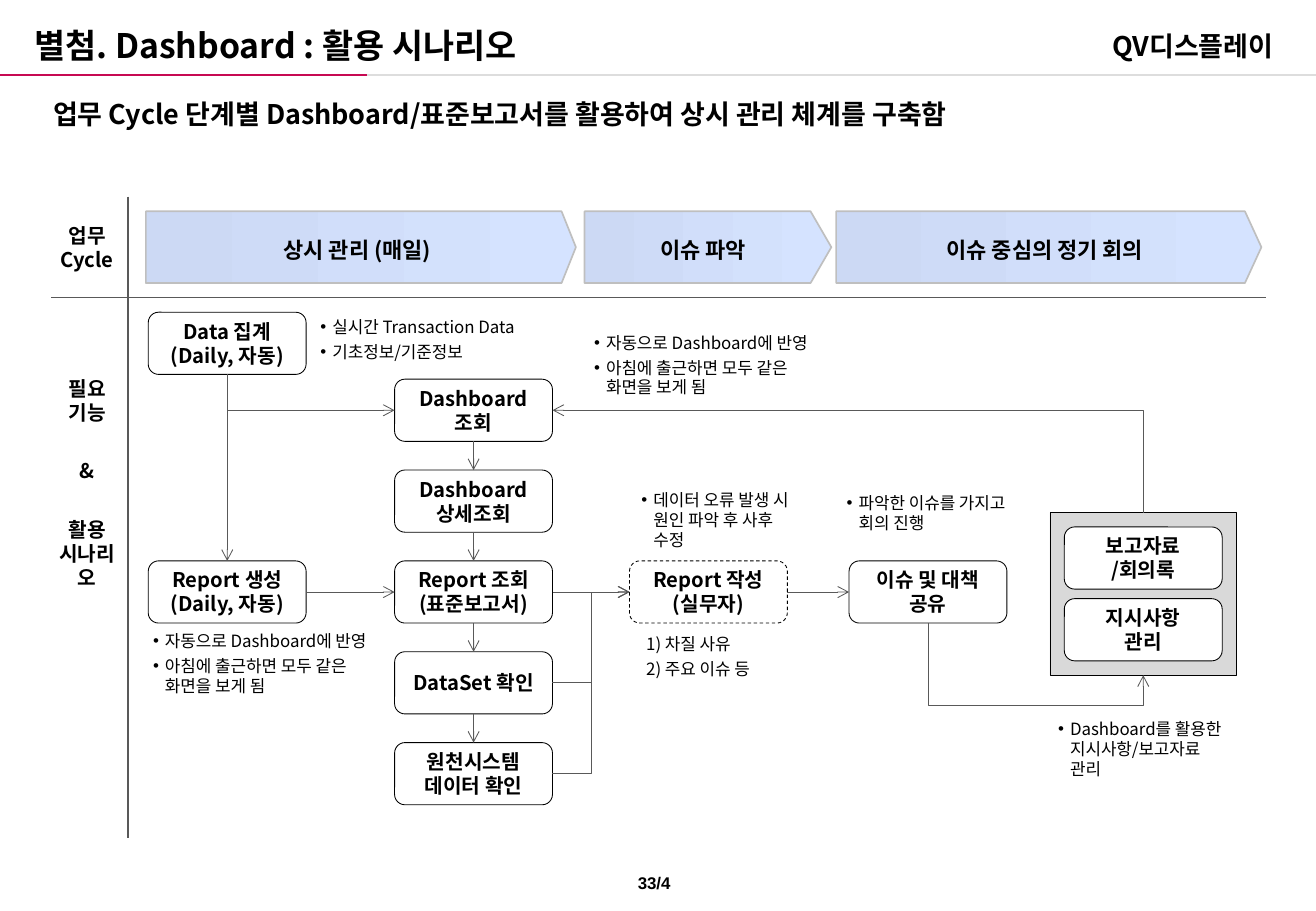
from dataclasses import dataclass

from lxml.etree import SubElement
from pptx import Presentation
from pptx.dml.color import RGBColor
from pptx.enum.dml import MSO_LINE
from pptx.enum.shapes import MSO_CONNECTOR, MSO_SHAPE
from pptx.enum.text import MSO_ANCHOR, MSO_AUTO_SIZE, PP_ALIGN
from pptx.oxml.ns import qn
from pptx.util import Cm, Pt


@dataclass(frozen=True)
class Theme:
    font: str = "Noto Sans CJK KR"
    number_font: str = "Arial"
    black: str = "000000"
    white: str = "FFFFFF"
    accent: str = "C70952"
    rule: str = "DDDDDD"
    line: str = "595959"
    panel: str = "D9D9D9"
    stage_line: str = "BFBFBF"
    stage_from: str = "CCD9F4"
    stage_to: str = "D5E3FF"
    title: float = 20
    heading: float = 16
    stage: float = 13
    box: float = 12
    note: float = 10
    leading: float = 1.18


@dataclass(frozen=True)
class Stage:
    text: str
    x: float
    w: float
    point: float


@dataclass(frozen=True)
class Box:
    name: str
    x: float
    y: float
    lines: tuple[str, ...]
    dashed: bool = False


@dataclass(frozen=True)
class Note:
    x: float
    y: float
    w: float
    h: float
    lines: tuple[str, ...]
    bullet: bool = True


@dataclass(frozen=True)
class Link:
    start: str
    start_side: int
    end: str
    end_side: int
    bend: str = ""
    adjust: float = 0.5


T = Theme()
TOP, LEFT, BOTTOM, RIGHT = range(4)
BOX_W, BOX_H = 3.3, 1.3
COL = (3.1, 8.25, 13.16, 17.75, 22.25)
ROW = tuple(7.93 + 1.9 * i for i in range(5))

STAGES = (
    Stage("상시 관리 (매일)", 3.05, 8.99, 0.2),
    Stage("이슈 파악", 12.22, 5.16, 0.29),
    Stage("이슈 중심의 정기 회의", 17.48, 8.89, 0.23),
)
BOXES = (
    Box("collect", COL[0], 6.53, ("Data 집계", "(Daily, 자동)")),
    Box("create", COL[0], ROW[2], ("Report 생성", "(Daily, 자동)")),
    Box("dashboard", COL[1], ROW[0], ("Dashboard 조회",)),
    Box("detail", COL[1], ROW[1], ("Dashboard 상세조회",)),
    Box("report", COL[1], ROW[2], ("Report 조회 (표준보고서)",)),
    Box("dataset", COL[1], ROW[3], ("DataSet 확인",)),
    Box("source", COL[1], ROW[4], ("원천시스템 데이터 확인",)),
    Box("write", COL[2], ROW[2], ("Report 작성 (실무자)",), dashed=True),
    Box("share", COL[3], ROW[2], ("이슈 및 대책 공유",)),
    Box("minutes", COL[4], 11.02, ("보고자료", "/회의록")),
    Box("orders", COL[4], 12.52, ("지시사항", "관리")),
)
DAILY = ("자동으로 Dashboard에 반영", "아침에 출근하면 모두 같은 화면을 보게 됨")
NOTES = (
    Note(6.45, 6.5, 5.31, 1.22, ("실시간 Transaction Data", "기초정보/기준정보")),
    Note(12.17, 6.83, 5.31, 1.65, DAILY),
    Note(2.95, 13.08, 5.31, 1.65, DAILY),
    Note(13.16, 10.13, 3.71, 1.55, ("데이터 오류 발생 시 원인 파악 후 사후 수정",)),
    Note(17.45, 10.19, 4.19, 1.12, ("파악한 이슈를 가지고 회의 진행",)),
    Note(13.26, 13.13, 3.1, 1.22, ("1) 차질 사유", "2) 주요 이슈 등"), bullet=False),
    Note(21.87, 14.91, 4.09, 1.55, ("Dashboard를 활용한 지시사항/보고자료 관리",)),
)
CHAIN = ("dashboard", "detail", "report", "dataset", "source")
FLOW = ("create", "report", "write", "share")
LINKS = (
    Link("collect", BOTTOM, "create", TOP),
    *(Link(a, BOTTOM, b, TOP) for a, b in zip(CHAIN, CHAIN[1:])),
    *(Link(a, RIGHT, b, LEFT) for a, b in zip(FLOW, FLOW[1:])),
    Link("collect", BOTTOM, "dashboard", LEFT, "bentConnector2"),
    Link("dataset", RIGHT, "write", LEFT, "bentConnector3"),
    Link("source", RIGHT, "write", LEFT, "bentConnector3"),
    Link("share", BOTTOM, "panel", BOTTOM, "bentConnector3", 1.58),
    Link("panel", TOP, "dashboard", RIGHT, "bentConnector2"),
)


def rgb(color: str) -> RGBColor:
    return RGBColor.from_string(color)


def write(tf, lines, size: float, bold=True, align=PP_ALIGN.CENTER, anchor=MSO_ANCHOR.TOP,
          spacing=1.0, gaps=(), font=T.font):
    """Fill a frame with one paragraph per line and return the paragraphs."""
    tf.word_wrap = True
    tf.auto_size = MSO_AUTO_SIZE.NONE
    tf.vertical_anchor = anchor
    for i, line in enumerate(lines):
        p = tf.paragraphs[0] if i == 0 else tf.add_paragraph()
        p.alignment = align
        p.line_spacing = Pt(round(size * T.leading * spacing, 1))
        p.space_before = Pt(gaps[i] if gaps else 0)
        r = p.add_run()
        r.text = line
        r.font.size, r.font.bold, r.font.name = Pt(size), bold, font
        r.font.color.rgb = rgb(T.black)
        SubElement(r.font._element, qn("a:ea"), typeface=font)
    return tf.paragraphs


def add_text(s, x: float, y: float, w: float, h: float, lines, size: float, **style):
    tb = s.shapes.add_textbox(Cm(x), Cm(y), Cm(w), Cm(h))
    return write(tb.text_frame, lines, size, **style)


def add_note(s, note: Note) -> None:
    for p in add_text(s, note.x, note.y, note.w, note.h, note.lines, T.note, bold=False,
                      align=PP_ALIGN.LEFT, gaps=(3,) * len(note.lines)):
        pPr = p._p.get_or_add_pPr()
        pPr.set("marL", str(Cm(0.25)))
        pPr.set("indent", str(-Cm(0.25)))
        if note.bullet:
            SubElement(pPr, qn("a:buFont"), typeface=T.number_font)
            SubElement(pPr, qn("a:buChar"), char="•")


def add_outlined(s, kind, x: float, y: float, w: float, h: float, line: str, width: float,
                 fill: str = T.white):
    shape = s.shapes.add_shape(kind, Cm(x), Cm(y), Cm(w), Cm(h))
    shape.shadow.inherit = False
    shape.fill.solid()
    shape.fill.fore_color.rgb = rgb(fill)
    shape.line.color.rgb = rgb(line)
    shape.line.width = Pt(width)
    return shape


def add_stage(s, stage: Stage) -> None:
    sp = add_outlined(s, MSO_SHAPE.PENTAGON, stage.x, 4.42, stage.w, 1.5, T.stage_line, 1)
    sp.adjustments[0] = stage.point
    sp.fill.gradient()
    sp.fill.gradient_angle = 0
    for stop, color in zip(sp.fill.gradient_stops, (T.stage_from, T.stage_to)):
        stop.color.rgb = rgb(color)
    write(sp.text_frame, (stage.text,), T.stage, anchor=MSO_ANCHOR.MIDDLE, spacing=1.2)


def add_box(s, box: Box):
    sp = add_outlined(s, MSO_SHAPE.ROUNDED_RECTANGLE, box.x, box.y, BOX_W, BOX_H, T.black, 0.5)
    if box.dashed:
        sp.line.dash_style = MSO_LINE.DASH
    write(sp.text_frame, box.lines, T.box, anchor=MSO_ANCHOR.MIDDLE)
    return sp


def add_line(s, x1=0.0, y1=0.0, x2=0.0, y2=0.0, color=T.line, width=1.0,
             kind=MSO_CONNECTOR.STRAIGHT):
    con = s.shapes.add_connector(kind, Cm(x1), Cm(y1), Cm(x2), Cm(y2))
    con.line.color.rgb = rgb(color)
    con.line.width = Pt(width)
    SubElement(con.element.spPr, qn("a:effectLst"))
    return con


def add_link(s, link: Link, shapes: dict) -> None:
    kind = MSO_CONNECTOR.ELBOW if link.bend else MSO_CONNECTOR.STRAIGHT
    con = add_line(s, width=0.5, kind=kind)
    con.begin_connect(shapes[link.start], link.start_side)
    con.end_connect(shapes[link.end], link.end_side)
    spPr = con.element.spPr
    SubElement(spPr.find(qn("a:ln")), qn("a:tailEnd"), type="arrow")
    if not link.bend:
        return
    geom = spPr.find(qn("a:prstGeom"))
    geom.set("prst", link.bend)
    if link.bend == "bentConnector3":
        SubElement(geom.find(qn("a:avLst")), qn("a:gd"), name="adj1",
                   fmla=f"val {round(link.adjust * 100000)}")
    if link.start_side in (TOP, BOTTOM):
        turn_upright(con)


def turn_upright(con) -> None:
    """Rotate an elbow by 270 degrees so that it leaves its start vertically."""
    x1, y1, x2, y2 = con.begin_x, con.begin_y, con.end_x, con.end_y
    w, h = abs(y2 - y1), abs(x2 - x1)
    con.left, con.top = (x1 + x2 - w) // 2, (y1 + y2 - h) // 2
    con.width, con.height = w, h
    xfrm = con.element.spPr.find(qn("a:xfrm"))
    xfrm.set("rot", "16200000")
    xfrm.set("flipH", str(int(y2 > y1)))
    xfrm.set("flipV", str(int(x1 > x2)))


def main() -> None:
    prs = Presentation()
    prs.slide_width, prs.slide_height = Cm(27.51), Cm(19.05)
    s = prs.slides.add_slide(prs.slide_layouts[5])

    title = s.shapes.title
    title.left, title.top, title.width, title.height = Cm(0.46), Cm(0.36), Cm(20.37), Cm(1.19)
    write(title.text_frame, ("별첨. Dashboard : 활용 시나리오",), T.title,
          align=PP_ALIGN.LEFT, anchor=MSO_ANCHOR.MIDDLE)
    add_text(s, 21.97, 0.36, 0 + 4.9 + 0, 1.19, ("QV디스플레이",), T.heading,
             align=PP_ALIGN.RIGHT, spacing=1.2)
    add_text(s, 0.86, 1.93, 25.7, 2, ("업무 Cycle 단계별 Dashboard/표준보고서를 활용하여 상시 관리 체계를 구축함",),
             T.heading, align=PP_ALIGN.LEFT)
    add_text(s, 12.85, 18.14, 1.65, 0.69, ("33/4",), T.note, font=T.number_font)
    add_line(s, 0, 1.57, 7.67, 1.57, T.accent, 1.5)
    add_line(s, 7.67, 1.57, 27.51, 1.57, T.rule, 1.5)

    add_line(s, 1.07, 6.22, 26.47, 6.22)
    add_line(s, 2.67, 4.11, 2.67, 17.53)
    add_text(s, 0.97, 4.55, 1.7, 1.27, ("업무 Cycle",), T.box, gaps=(3,))
    add_text(s, 0.97, 7.75, 1.7, 4.78, ("필요 기능", "&", "활용 시나리오"), T.box, gaps=(3, 20.5, 20.5))

    for stage in STAGES:
        add_stage(s, stage)
    shapes = {"panel": add_outlined(s, MSO_SHAPE.RECTANGLE, 21.95, 10.72, 3.9, 3.4,
                                    T.black, 0.25, T.panel)}
    for box in BOXES:
        shapes[box.name] = add_box(s, box)
    for link in LINKS:
        add_link(s, link, shapes)
    for note in NOTES:
        add_note(s, note)
    prs.save("out.pptx")


if __name__ == "__main__":
    main()
